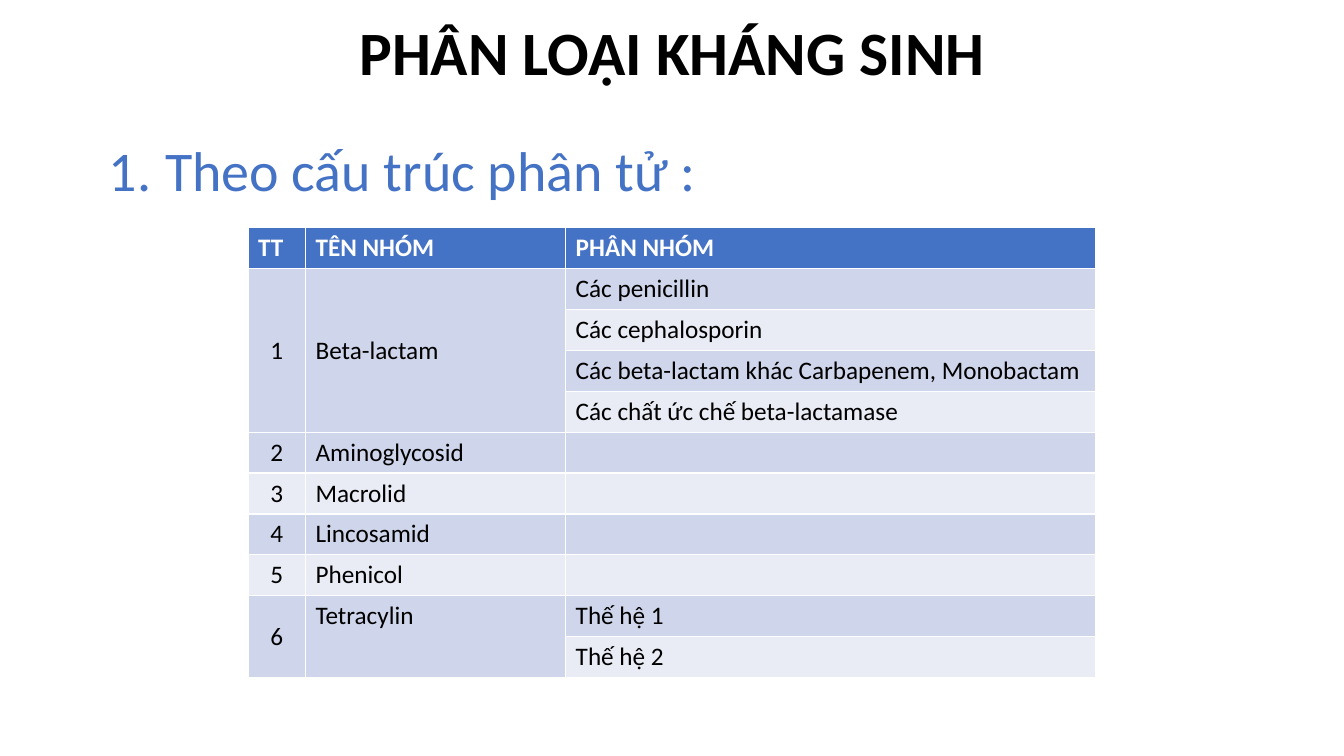
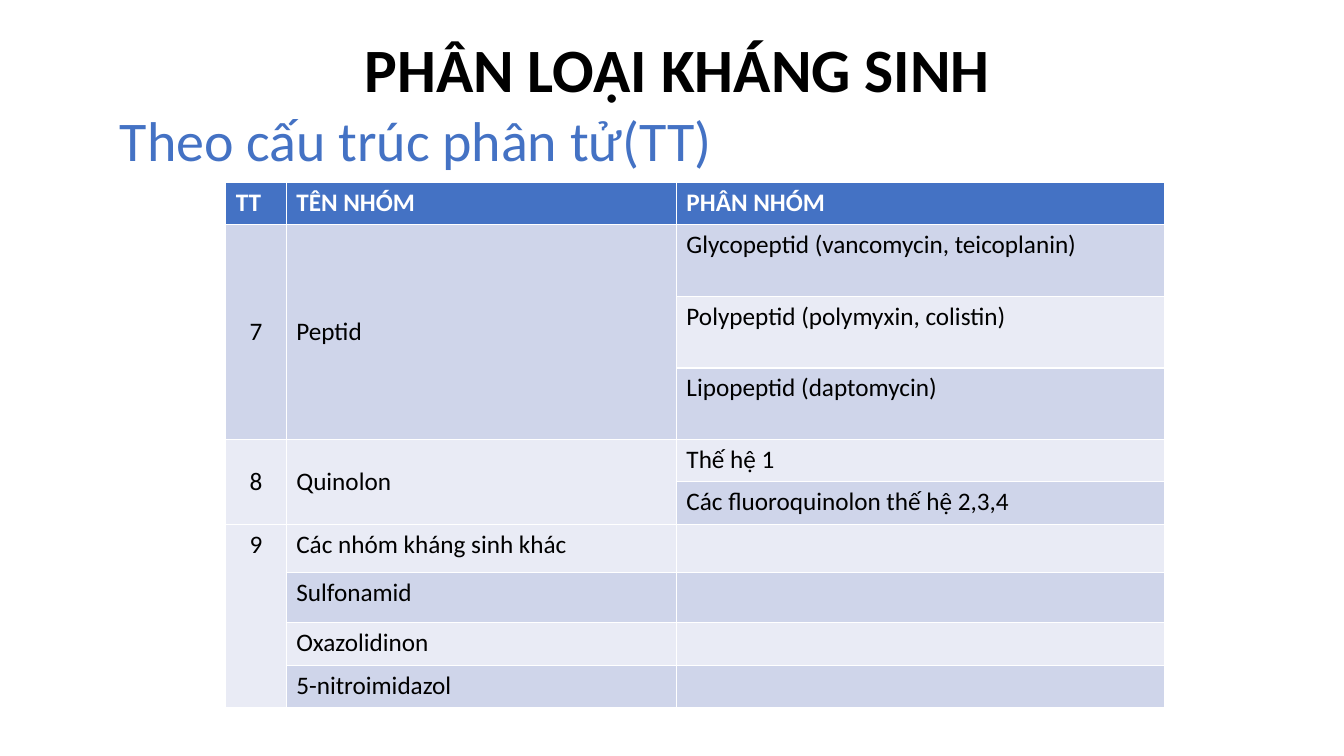
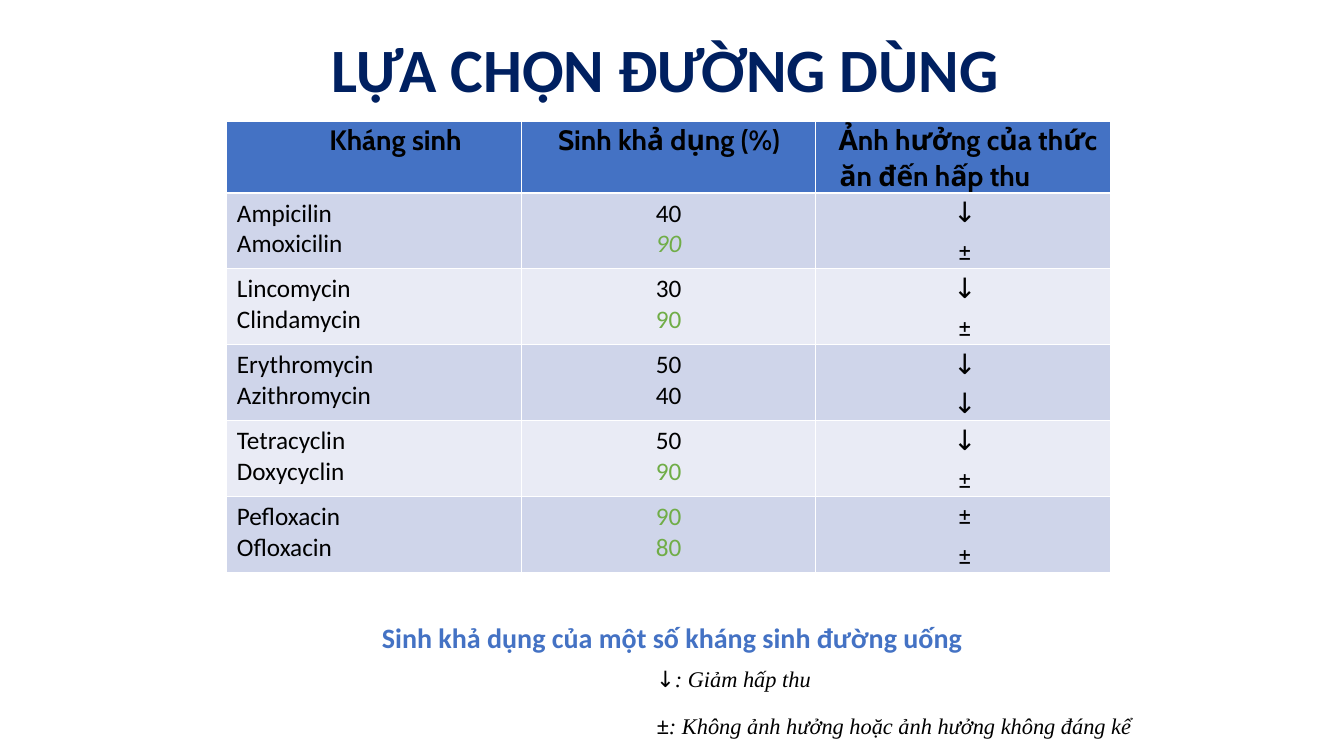
from itertools import takewhile
from lxml.etree import SubElement
from pptx import Presentation
from pptx.dml.color import RGBColor
from pptx.enum.text import MSO_ANCHOR, MSO_AUTO_SIZE, PP_ALIGN
from pptx.oxml.ns import qn
from pptx.util import Inches, Pt

BLUE, NAVY, GREEN, BLACK, WHITE = "4472C4", "002060", "70AD47", "000000", "FFFFFF"
BANDS = ["E9EBF5", "CFD5EA"]
CENTER = PP_ALIGN.CENTER

deck = Presentation()
deck.slide_width, deck.slide_height = Inches(13.33), Inches(7.5)
COL, ROW = deck.slide_width / 100, deck.slide_height / 100


def tint(hex_code):
    return RGBColor.from_string(hex_code)


def write(host, text, box=None, size=18, font="Calibri", color=BLACK, bold=False,
          italic=False, align=None, line=None, before=None, after=None,
          indent=None, numbered=False, join=False):
    frame = host
    if box:
        frame = host.shapes.add_textbox(
            *(round(share * unit) for share, unit in zip(box, (COL, ROW) * 2))).text_frame
        frame.word_wrap = True
    paragraph = frame.paragraphs[-1]
    if paragraph.runs and not join:
        paragraph = frame.add_paragraph()
        paragraph.space_before = before
    if not join:
        paragraph.alignment = align
        paragraph.line_spacing = line
        paragraph.space_after = after
        properties = paragraph._p.get_or_add_pPr()
        if indent:
            for key, columns in zip(("marL", "indent"), indent):
                properties.set(key, str(round(columns * COL)))
        if numbered:
            SubElement(properties, qn("a:buFont")).set("typeface", "+mj-lt")
            SubElement(properties, qn("a:buAutoNum")).set("type", "arabicPeriod")
    run = paragraph.add_run()
    run.text = text
    run.font.size, run.font.name = Pt(size), font
    run.font.bold, run.font.italic = bold, italic
    run.font.color.rgb = tint(color)
    return frame


CLASSES = "PHÂN LOẠI KHÁNG SINH"
pages = [
    dict(title=CLASSES, title_at=(6.9, 2.27), title_color=BLACK, anchor=MSO_ANCHOR.TOP,
         heading="Theo cấu trúc phân tử :", heading_at=(7.35, 18.27), numbered=True,
         table_at=(18.45, 30.13), columns=[4.28, 19.36, 39.46], rows=[5.41] * 11),
    dict(title=CLASSES, title_at=(7.28, 0), title_color=BLACK, anchor=MSO_ANCHOR.MIDDLE,
         heading="Theo cấu trúc phân tử(TT)", heading_at=(8.18, 14.27), numbered=False,
         table_at=(16.8, 24.13), columns=[4.5, 29.03, 36.31],
         rows=[5.6] + [9.47] * 3 + [5.6] * 2 + [6.4, 6.67] + [5.6] * 2),
    dict(title="LỰA CHỌN ĐƯỜNG DÙNG", title_at=(6.38, 0), title_color=NAVY,
         anchor=MSO_ANCHOR.MIDDLE, heading=None,
         table_at=(16.88, 16), columns=[21.91] * 3, rows=[9.53] + [10.04] * 5),
]

grids = []
for page in pages:
    slide = deck.slides.add_slide(deck.slide_layouts[6])
    title = write(slide, page["title"], box=(*page["title_at"], 86.27, 19.33), size=44,
                  color=page["title_color"], bold=True, align=CENTER, line=0.9)
    title.vertical_anchor = page["anchor"]
    if page["heading"]:
        write(slide, page["heading"], box=(*page["heading_at"], 86.27, 63.47), size=40,
              color=BLUE, line=0.9, numbered=page["numbered"],
              indent=(4.2, -4.2) if page["numbered"] else None)
    left, top = page["table_at"]
    widths, heights = page["columns"], page["rows"]
    grid = slide.shapes.add_table(
        len(heights), len(widths), round(left * COL), round(top * ROW),
        round(sum(widths) * COL), round(sum(heights) * ROW)).table
    for column, width in zip(grid.columns, widths):
        column.width = round(width * COL)
    for r, height in enumerate(heights):
        grid.rows[r].height = round(height * ROW)
        for cell in grid.rows[r].cells:
            cell.fill.solid()
            cell.fill.fore_color.rgb = tint(BANDS[r % 2] if r else BLUE)
    grids.append(grid)

header = ("TT", "TÊN NHÓM", "PHÂN NHÓM")
first_groups = [
    header,
    ("1", "Beta-lactam", "Các penicillin"),
    (None, None, "Các cephalosporin"),
    (None, None, "Các beta-lactam khác Carbapenem, Monobactam"),
    (None, None, "Các chất ức chế beta-lactamase"),
    ("2", "Aminoglycosid", ""),
    ("3", "Macrolid", ""),
    ("4", "Lincosamid", ""),
    ("5", "Phenicol", ""),
    ("6", "Tetracylin", "Thế hệ 1"),
    (None, None, "Thế hệ 2"),
]
later_groups = [
    header,
    ("7", "Peptid", "Glycopeptid (vancomycin, teicoplanin)"),
    (None, None, "Polypeptid (polymyxin, colistin)"),
    (None, None, "Lipopeptid (daptomycin)"),
    ("8", "Quinolon", "Thế hệ 1"),
    (None, None, "Các fluoroquinolon thế hệ 2,3,4"),
    ("9", "Các nhóm kháng sinh khác", ""),
    (None, "Sulfonamid", ""),
    (None, "Oxazolidinon", ""),
    (None, "5-nitroimidazol", ""),
]
centred_spans = {"1", "6", "7", "8", "Beta-lactam", "Peptid", "Quinolon"}

for grid, groups in zip(grids, (first_groups, later_groups)):
    for c, entries in enumerate(zip(*groups)):
        for r, entry in enumerate(entries):
            if not entry:
                continue
            cell = grid.cell(r, c)
            below = len(list(takewhile(lambda text: text is None, entries[r + 1:])))
            if below:
                cell.merge(grid.cell(r + below, c))
            if entry in centred_spans:
                cell.vertical_anchor = MSO_ANCHOR.MIDDLE
            write(cell.text_frame, entry, color=BLACK if r else WHITE, bold=r == 0,
                  align=CENTER if r and c == 0 else None)

routes = grids[2]
route_header = [
    ("Kháng sinh", None, (1.13, 6)),
    ("Sinh khả dụng (%)", CENTER, (0, 0.08)),
    ("Ảnh hưởng của thức ăn đến hấp thu", None, (1.28, -0.08)),
]
drug_pairs = [
    [("Ampicilin", 40, "↓"), ("Amoxicilin", 90, "±")],
    [("Lincomycin", 30, "↓"), ("Clindamycin", 90, "±")],
    [("Erythromycin", 50, "↓"), ("Azithromycin", 40, "↓")],
    [("Tetracyclin", 50, "↓"), ("Doxycyclin", 90, "±")],
    [("Pefloxacin", 90, "±"), ("Ofloxacin", 80, "±")],
]
tight_cells = list(routes.rows[0].cells) + [routes.cell(r, 2) for r in range(1, 6)]
for cell in tight_cells:
    cell.margin_left = cell.margin_right = round(0.5 * COL)
    cell.margin_top = cell.margin_bottom = 0

for c, (label, align, indent) in enumerate(route_header):
    write(routes.cell(0, c).text_frame, label, size=20, font="Cabin", bold=True,
          align=align, line=1.07, indent=indent)
for r, pair in enumerate(drug_pairs, start=1):
    names, shares, effects = (cell.text_frame for cell in routes.rows[r].cells)
    for drug, share, effect in pair:
        write(names, drug)
        write(shares, str(share), color=GREEN if share >= 80 else BLACK,
              italic=drug == "Amoxicilin", align=CENTER)
        write(effects, effect, size=20, font="Cabin", align=CENTER, line=1.07,
              before=Pt(2), indent=(0.07, 0.22))

legend = None
for symbol, meaning in [("↓", ": Giảm hấp thu"),
                        ("±", ": Không ảnh hưởng hoặc ảnh hưởng không đáng kể")]:
    legend = write(legend or slide, symbol,
                   box=None if legend else (37.81, 87.07, 62.19, 11.47),
                   size=16, font="Noto Sans", italic=True, line=1.07,
                   before=Pt(5.2), after=Pt(8), indent=(4.28, 6))
    write(legend, meaning, size=16, font="Times New Roman", italic=True, join=True)

caption = write(slide, "Sinh khả dụng của một số kháng sinh đường uống",
                box=(27.68, 81.47, 45.09, 5.87), size=20, color=BLUE, bold=True)
caption.word_wrap = False
caption.auto_size = MSO_AUTO_SIZE.SHAPE_TO_FIT_TEXT

deck.save("out.pptx")
